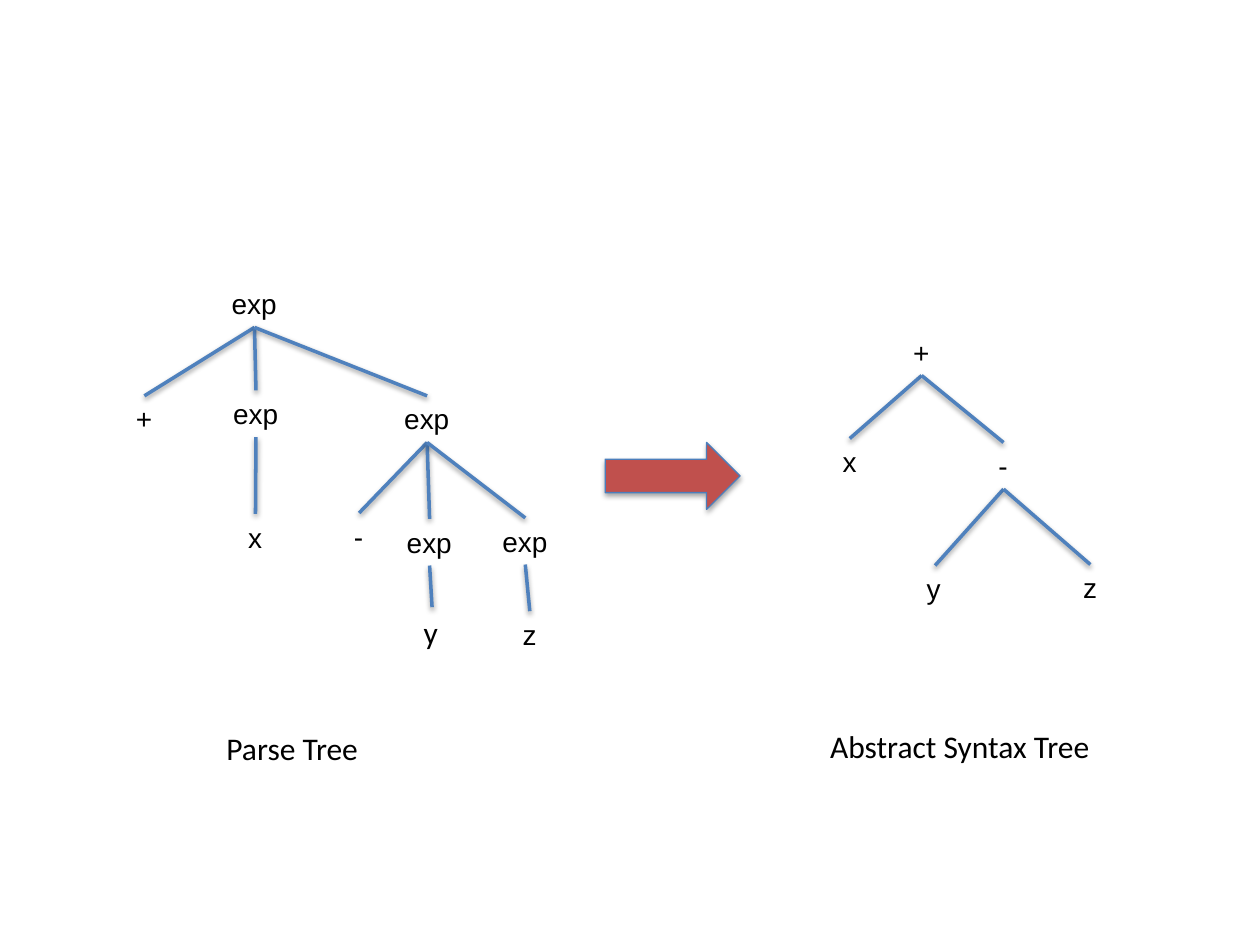
from dataclasses import dataclass

from lxml.etree import SubElement
from pptx import Presentation
from pptx.dml.color import RGBColor
from pptx.enum.shapes import MSO_CONNECTOR, MSO_SHAPE
from pptx.enum.text import MSO_AUTO_SIZE
from pptx.oxml.ns import qn
from pptx.shapes.autoshape import Shape
from pptx.slide import Slide
from pptx.util import Cm, Pt


@dataclass(frozen=True)
class Theme:
    ink: RGBColor = RGBColor(0, 0, 0)
    branch: RGBColor = RGBColor(0x4F, 0x81, 0xBD)
    arrow: RGBColor = RGBColor(0xC0, 0x50, 0x4D)
    edge: RGBColor = RGBColor(0x4B, 0x7E, 0xBC)
    code: str = "Arial"
    prose: str = "Calibri"
    small: int = 16
    large: int = 18


THEME = Theme()
WIDTHS = {"exp": 1.42, "+": 0.84, "-": 0.71, "x": 0.79, "y": 0.84, "z": 0.79}
HEIGHTS = {THEME.small: 0.94, THEME.large: 1.02}


@dataclass(frozen=True)
class Node:
    """A label with its centre line and top edge in centimetres."""
    text: str
    mid: float
    top: float
    kids: tuple["Node", ...] = ()
    font: str = THEME.code
    size: int = THEME.small


@dataclass(frozen=True)
class Caption:
    text: str
    mid: float
    top: float
    width: float


PARSE = Node("exp", 5.13, 5.66, (
    Node("+", 2.91, 7.98),
    Node("exp", 5.16, 7.87, (Node("x", 5.15, 10.36),)),
    Node("exp", 8.61, 7.98, (
        Node("-", 7.24, 10.34),
        Node("exp", 8.66, 10.46, (
            Node("y", 8.71, 12.24, font=THEME.prose, size=THEME.large),)),
        Node("exp", 10.59, 10.44, (Node("z", 10.68, 12.32),)),
    )),
))
SYNTAX = Node("+", 18.58, 6.63, (
    Node("x", 17.13, 8.84),
    Node("-", 20.23, 8.92, (
        Node("y", 18.85, 11.4),
        Node("z", 21.98, 11.38),
    )),
))
CAPTIONS = (
    Caption("Parse Tree", 5.94, 14.58, 3.25),
    Caption("Abstract Syntax Tree", 19.43, 14.53, 5.89),
)


def add_shade(props, drop: float, alpha: int) -> None:
    """Put a soft black shadow below a shape, given its spPr element."""
    effects = props.find(qn("a:effectLst"))
    if effects is None:
        effects = SubElement(props, qn("a:effectLst"))
    shade = SubElement(effects, qn("a:outerShdw"), blurRad=str(Pt(3.1)),
                       dist=str(Pt(drop)), dir="5400000", rotWithShape="0")
    color = SubElement(shade, qn("a:srgbClr"), val="000000")
    SubElement(color, qn("a:alpha"), val=str(alpha * 1000))


def add_label(slide: Slide, text: str, mid: float, top: float, width: float,
              font: str, size: int) -> Shape:
    box = slide.shapes.add_textbox(Cm(mid - width / 2), Cm(top),
                                   Cm(width), Cm(HEIGHTS[size]))
    frame = box.text_frame
    frame.word_wrap = False
    frame.auto_size = MSO_AUTO_SIZE.SHAPE_TO_FIT_TEXT
    line = frame.paragraphs[0]
    line.text = text
    line.font.name = font
    line.font.size = Pt(size)
    line.font.color.rgb = THEME.ink
    return box


def add_branch(slide: Slide, upper: Shape, lower: Shape) -> None:
    branch = slide.shapes.add_connector(MSO_CONNECTOR.STRAIGHT, 0, 0, 0, 0)
    branch.begin_connect(upper, 2)
    branch.end_connect(lower, 0)
    branch.line.color.rgb = THEME.branch
    branch.line.width = Pt(2)
    add_shade(branch._element.spPr, 1.6, 38)


def add_tree(slide: Slide, node: Node) -> Shape:
    """Draw a node and all below it, and return the node's box."""
    box = add_label(slide, node.text, node.mid, node.top,
                    WIDTHS[node.text], node.font, node.size)
    for kid in node.kids:
        add_branch(slide, box, add_tree(slide, kid))
    return box


def add_arrow(slide: Slide) -> None:
    arrow = slide.shapes.add_shape(MSO_SHAPE.RIGHT_ARROW, Cm(12.2), Cm(8.92),
                                   Cm(2.72), Cm(1.35))
    arrow.fill.solid()
    arrow.fill.fore_color.rgb = THEME.arrow
    arrow.line.color.rgb = THEME.edge
    arrow.line.width = Pt(0.75)
    arrow.shadow.inherit = False
    add_shade(arrow._element.spPr, 1.8, 35)


def main() -> None:
    deck = Presentation()
    deck.slide_width, deck.slide_height = Cm(25.4), Cm(19.05)
    slide = deck.slides.add_slide(deck.slide_layouts[6])
    add_tree(slide, PARSE)
    add_arrow(slide)
    add_tree(slide, SYNTAX)
    for item in CAPTIONS:
        add_label(slide, item.text, item.mid, item.top, item.width,
                  THEME.prose, THEME.large)
    deck.save("out.pptx")


if __name__ == "__main__":
    main()
